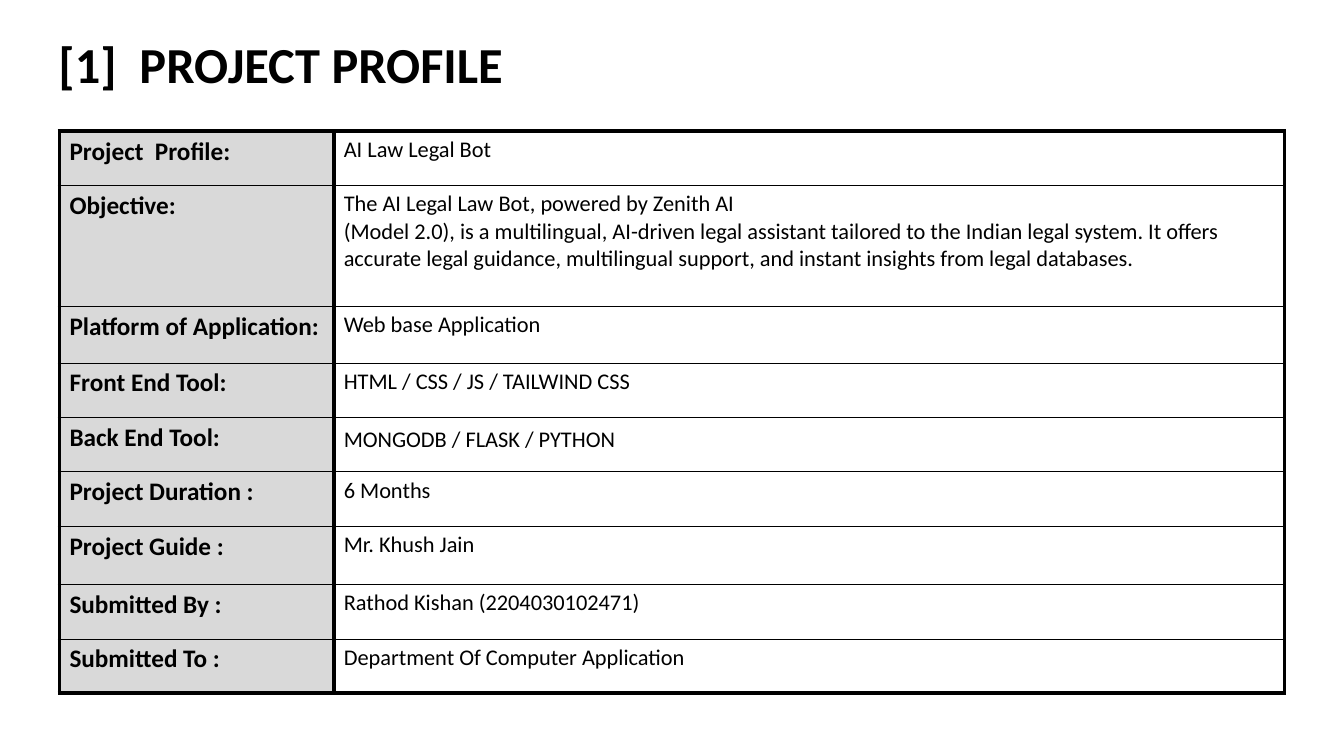
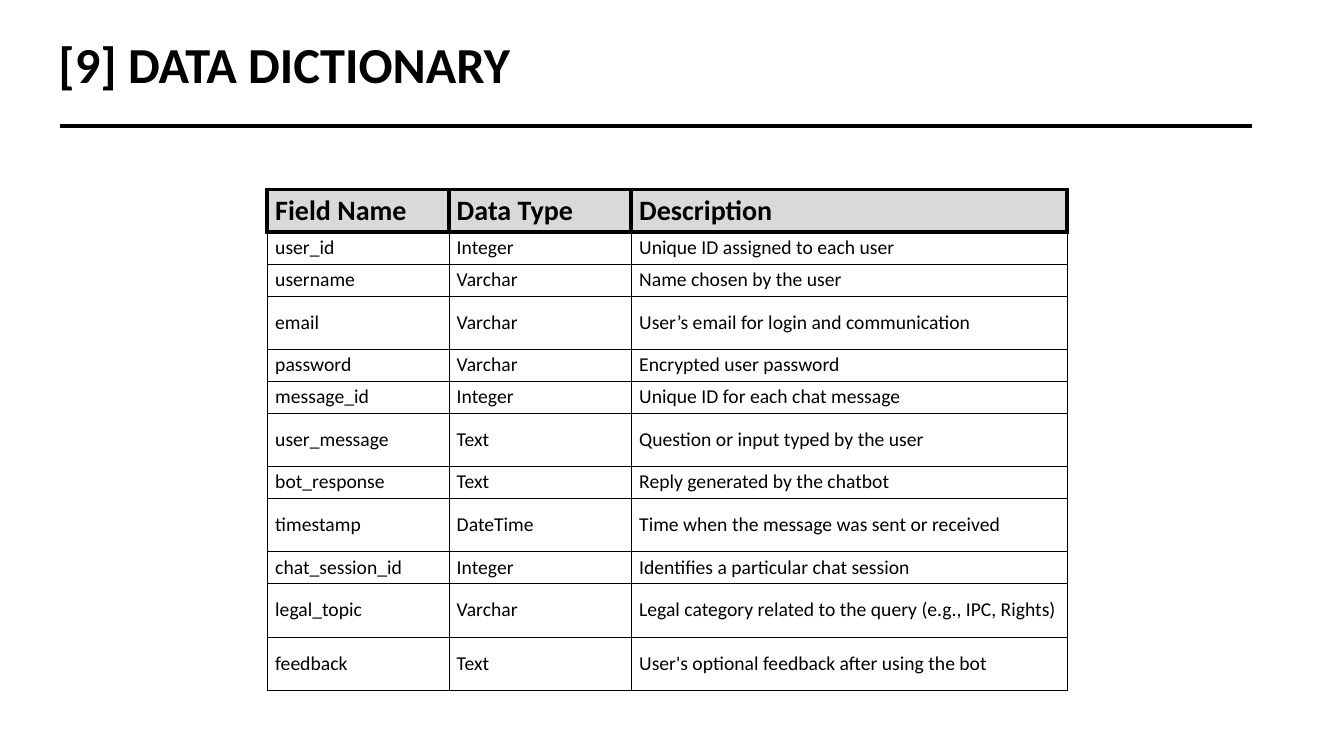
from dataclasses import dataclass

from lxml import etree
from pptx import Presentation
from pptx.dml.color import RGBColor
from pptx.enum.shapes import MSO_CONNECTOR
from pptx.enum.text import MSO_ANCHOR, MSO_AUTO_SIZE, PP_ALIGN
from pptx.oxml.ns import qn
from pptx.util import Inches, Pt

STRAIGHT = MSO_CONNECTOR.STRAIGHT
TOP, MIDDLE = MSO_ANCHOR.TOP, MSO_ANCHOR.MIDDLE
LEFT = PP_ALIGN.LEFT
NO_AUTOFIT = MSO_AUTO_SIZE.NONE
TITLE_ONLY = 5


@dataclass(frozen=True)
class Theme:
    font: str = "Calibri"
    ink: RGBColor = RGBColor(0x00, 0x00, 0x00)
    shade: RGBColor = RGBColor(0xD9, 0xD9, 0xD9)
    title_size: int = 36
    header_size: int = 20
    label_size: int = 18
    value_size: int = 16
    field_size: int = 14
    heavy: float = 3
    thin: float = 0.5
    hairline: float = 0.25


theme = Theme()


def write(paragraph, text, size, bold=False, line_spacing=None):
    """Add one run in the deck's font and colour."""
    paragraph.alignment = LEFT
    paragraph.line_spacing = line_spacing
    run = paragraph.add_run()
    run.text = text
    run.font.name = theme.font
    run.font.size = Pt(size)
    run.font.bold = bold
    run.font.color.rgb = theme.ink


def style_cell(cell, borders, margins, anchor, shaded):
    """Set borders (left, right, top, bottom in points), insets and fill."""
    cell.margin_left = cell.margin_right = Inches(margins[0])
    cell.margin_top = cell.margin_bottom = Inches(margins[1])
    cell.vertical_anchor = anchor
    properties = cell._tc.get_or_add_tcPr()
    for side, width in zip(("lnL", "lnR", "lnT", "lnB"), borders):
        border = etree.SubElement(properties, qn(f"a:{side}"), w=str(Pt(width)))
        solid = etree.SubElement(border, qn("a:solidFill"))
        etree.SubElement(solid, qn("a:srgbClr"), val=str(theme.ink))
    if shaded:
        cell.fill.solid()
        cell.fill.fore_color.rgb = theme.shade
    else:
        cell.fill.background()


prs = Presentation()
prs.slide_width, prs.slide_height = Inches(13.33), Inches(7.5)

# Shared title position, set once on the layout
layout = prs.slide_layouts[TITLE_ONLY]
layout_title = layout.placeholders[0]
layout_title.left, layout_title.top = Inches(0.48), Inches(0.35)
layout_title.width, layout_title.height = Inches(10), Inches(0.65)
layout_title.text_frame.vertical_anchor = TOP
layout_title.text_frame.auto_size = NO_AUTOFIT

# Slides with their titles
slides = []
for heading in ("[1]  PROJECT PROFILE", "[9] DATA DICTIONARY"):
    slide = prs.slides.add_slide(layout)
    write(slide.shapes.title.text_frame.paragraphs[0], heading,
          theme.title_size, bold=True, line_spacing=0.9)
    slides.append(slide)
profile_slide, dictionary_slide = slides

# Project profile: label, value, row height
profile = [
    ("Project  Profile:", "AI Law Legal Bot", 0.54),
    ("Objective:",
     "The AI Legal Law Bot, powered by Zenith AI\n"
     "(Model 2.0), is a multilingual, AI-driven legal assistant tailored to "
     "the Indian legal system. It offers accurate legal guidance, "
     "multilingual support, and instant insights from legal databases.", 1.2),
    ("Platform of Application:", "Web base Application", 0.56),
    ("Front End Tool:", "HTML / CSS / JS / TAILWIND CSS", 0.54),
    ("Back End Tool:", "MONGODB / FLASK / PYTHON", 0.54),
    ("Project Duration :", "6 Months", 0.54),
    ("Project Guide :", "Mr. Khush Jain", 0.58),
    ("Submitted By :", "Rathod Kishan (2204030102471)", 0.54),
    ("Submitted To :", "Department Of Computer Application", 0.54),
]
profile_table = profile_slide.shapes.add_table(
    len(profile), 2, Inches(0.59), Inches(1.3), Inches(12.15), Inches(5.56)).table
profile_table.first_row = profile_table.horz_banding = False
for column, width in zip(profile_table.columns, (2.72, 9.43)):
    column.width = Inches(width)
for row, (label, value, height) in enumerate(profile):
    profile_table.rows[row].height = Inches(height)
    top = theme.heavy if row == 0 else theme.thin
    bottom = theme.heavy if row == len(profile) - 1 else theme.thin
    label_cell, value_cell = profile_table.cell(row, 0), profile_table.cell(row, 1)
    for cell in (label_cell, value_cell):
        style_cell(cell, (theme.heavy, theme.heavy, top, bottom),
                   (0.1, 0.05), TOP, shaded=cell is label_cell)
    write(label_cell.text_frame.paragraphs[0], label, theme.label_size, bold=True)
    spacing = 1.15 if label == "Back End Tool:" else None
    for index, line in enumerate(value.split("\n")):
        frame = value_cell.text_frame
        paragraph = frame.add_paragraph() if index else frame.paragraphs[0]
        write(paragraph, line, theme.value_size, line_spacing=spacing)

# Rule under the data dictionary title
title_rule = dictionary_slide.shapes.add_connector(
    STRAIGHT, Inches(0.6), Inches(1.25), Inches(12.42), Inches(1.25))
title_rule.line.color.rgb = theme.ink
title_rule.line.width = Pt(theme.heavy)
etree.SubElement(title_rule._element.spPr, qn("a:effectLst"))

# Data dictionary: header row, then one row per field
SHORT, TALL = 0.31, 0.53
dictionary = [
    ("Field Name", "Data Type", "Description", 0.42),
    ("user_id", "Integer", "Unique ID assigned to each user", SHORT),
    ("username", "Varchar", "Name chosen by the user", SHORT),
    ("email", "Varchar", "User’s email for login and communication", TALL),
    ("password", "Varchar", "Encrypted user password", SHORT),
    ("message_id", "Integer", "Unique ID for each chat message", SHORT),
    ("user_message", "Text", "Question or input typed by the user", TALL),
    ("bot_response", "Text", "Reply generated by the chatbot", SHORT),
    ("timestamp", "DateTime", "Time when the message was sent or received", TALL),
    ("chat_session_id", "Integer", "Identifies a particular chat session", SHORT),
    ("legal_topic", "Varchar",
     "Legal category related to the query (e.g., IPC, Rights)", TALL),
    ("feedback", "Text", "User's optional feedback after using the bot", TALL),
]
dictionary_table = dictionary_slide.shapes.add_table(
    len(dictionary), 3, Inches(2.65), Inches(1.88), Inches(7.93), Inches(4.91)).table
dictionary_table.horz_banding = False
for column, width in zip(dictionary_table.columns, (1.8, 1.81, 4.32)):
    column.width = Inches(width)
for row, (*entries, height) in enumerate(dictionary):
    dictionary_table.rows[row].height = Inches(height)
    is_header = row == 0
    side = theme.heavy if is_header else theme.hairline
    top = theme.heavy if row <= 1 else theme.hairline
    size = theme.header_size if is_header else theme.field_size
    for col, entry in enumerate(entries):
        cell = dictionary_table.cell(row, col)
        style_cell(cell, (side, side, top, side), (0.08, 0.04), MIDDLE,
                   shaded=is_header)
        write(cell.text_frame.paragraphs[0], entry, size, bold=is_header)

prs.save("out.pptx")
